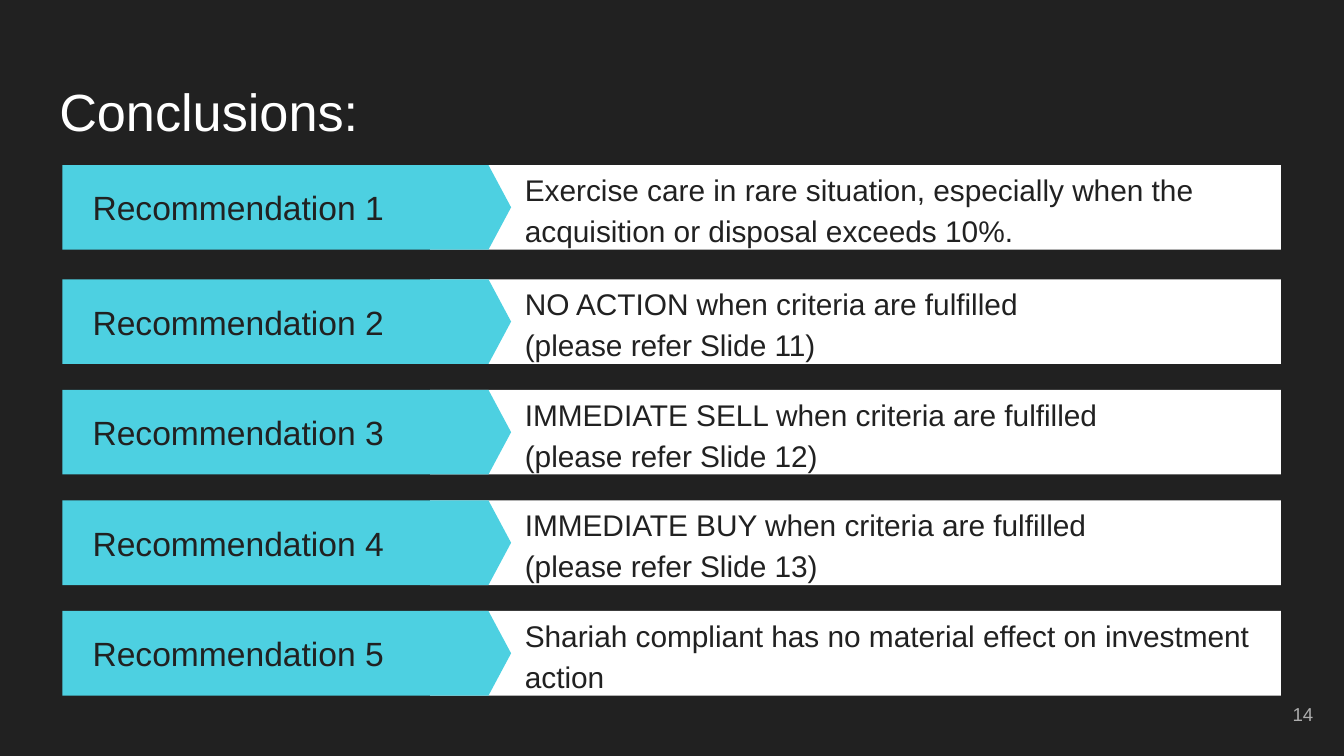
from dataclasses import dataclass
from typing import NamedTuple

from pptx import Presentation
from pptx.dml.color import RGBColor
from pptx.enum.shapes import MSO_SHAPE as Shape
from pptx.enum.text import MSO_ANCHOR as Anchor, MSO_AUTO_SIZE as AutoSize, PP_ALIGN as Align
from pptx.util import Cm, Pt


@dataclass(frozen=True)
class Theme:
    font: str = "Arial"
    dark: str = "212121"
    white: str = "FFFFFF"
    cyan: str = "4DD0E1"
    gray: str = "ADADAD"
    title: int = 28
    label: int = 18
    body: int = 16
    number: int = 10


class Box(NamedTuple):
    left: float
    top: float
    width: float
    height: float

    def lengths(self) -> list:
        return [Cm(v) for v in self]


@dataclass(frozen=True)
class Recommendation:
    label: str
    advice: str


THEME = Theme()
ROW_HEIGHT = 1.6
FIRST_TOP, SECOND_TOP, PITCH = 3.12, 5.28, 2.09

ADVICE = [
    "Exercise care in rare situation, especially when the acquisition or disposal exceeds 10%.",
    "NO ACTION when criteria are fulfilled\n(please refer Slide 11)",
    "IMMEDIATE SELL when criteria are fulfilled\n(please refer Slide 12)",
    "IMMEDIATE BUY when criteria are fulfilled\n(please refer Slide 13)",
    "Shariah compliant has no material effect on investment action",
]
ROWS = [Recommendation(f"Recommendation {n}", advice) for n, advice in enumerate(ADVICE, 1)]


def write(sp, text: str, size: int, color: str, anchor=Anchor.MIDDLE,
          align=Align.LEFT, spacing: float = 1.0) -> None:
    tf = sp.text_frame
    tf.word_wrap = True
    tf.auto_size = AutoSize.NONE
    tf.vertical_anchor = anchor
    tf.margin_left = tf.margin_right = tf.margin_top = tf.margin_bottom = Cm(0.25)
    tf.text = text
    for p in tf.paragraphs:
        p.alignment = align
        p.line_spacing = spacing
        for r in p.runs:
            r.font.name = THEME.font
            r.font.size = Pt(size)
            r.font.color.rgb = RGBColor.from_string(color)


def add_panel(group, kind, box: Box, color: str):
    sp = group.shapes.add_shape(kind, *box.lengths())
    sp.shadow.inherit = False
    sp.fill.solid()
    sp.fill.fore_color.rgb = RGBColor.from_string(color)
    sp.line.fill.background()
    return sp


def add_row(s, row: Recommendation, top: float) -> None:
    group = s.shapes.add_group_shape()
    add_panel(group, Shape.RECTANGLE, Box(8.13, top, 16.08, ROW_HEIGHT), THEME.white)
    arrow = add_panel(group, Shape.PENTAGON, Box(1.18, top, 8.48, ROW_HEIGHT), THEME.cyan)
    arrow.adjustments[0] = 0.267
    label = s.shapes.add_textbox(*Box(1.5, top, 6.73, ROW_HEIGHT).lengths())
    write(label, row.label, THEME.label, THEME.dark)
    advice = s.shapes.add_textbox(*Box(9.67, top, 14.2, ROW_HEIGHT).lengths())
    write(advice, row.advice, THEME.body, THEME.dark, spacing=1.15)


# Slide and background
prs = Presentation()
prs.slide_width, prs.slide_height = Cm(25.4), Cm(14.29)
s = prs.slides.add_slide(prs.slide_layouts[5])
s.background.fill.solid()
s.background.fill.fore_color.rgb = RGBColor.from_string(THEME.dark)

# Title
title = s.shapes.title
title.left, title.top, title.width, title.height = Box(0.87, 1.24, 23.67, 1.6).lengths()
write(title, "Conclusions:", THEME.title, THEME.white, anchor=Anchor.TOP)

# Recommendations: the first stands apart, the others are evenly spaced
for i, row in enumerate(ROWS):
    add_row(s, row, SECOND_TOP + (i - 1) * PITCH if i else FIRST_TOP)

# Slide number
number = s.shapes.add_textbox(*Box(23.55, 12.95, 1.52, 1.09).lengths())
write(number, "14", THEME.number, THEME.gray, align=Align.RIGHT)

prs.save("out.pptx")
